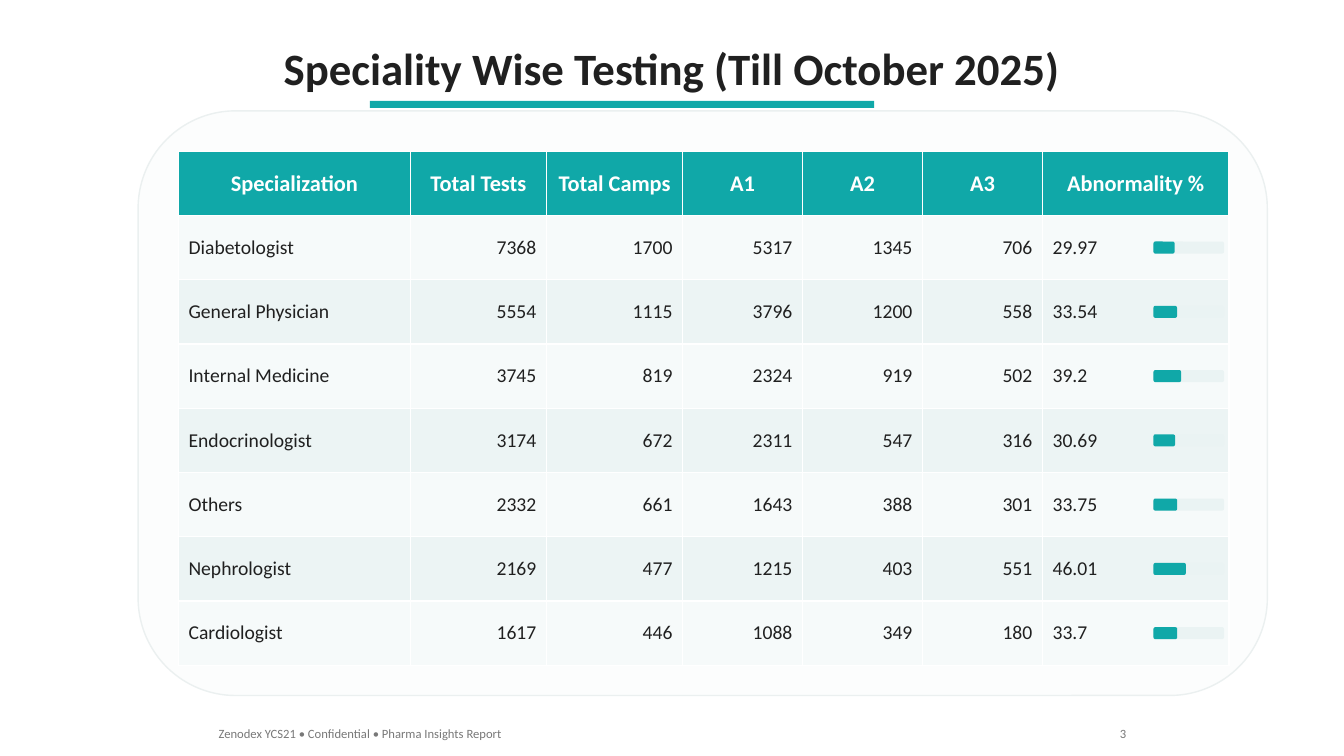
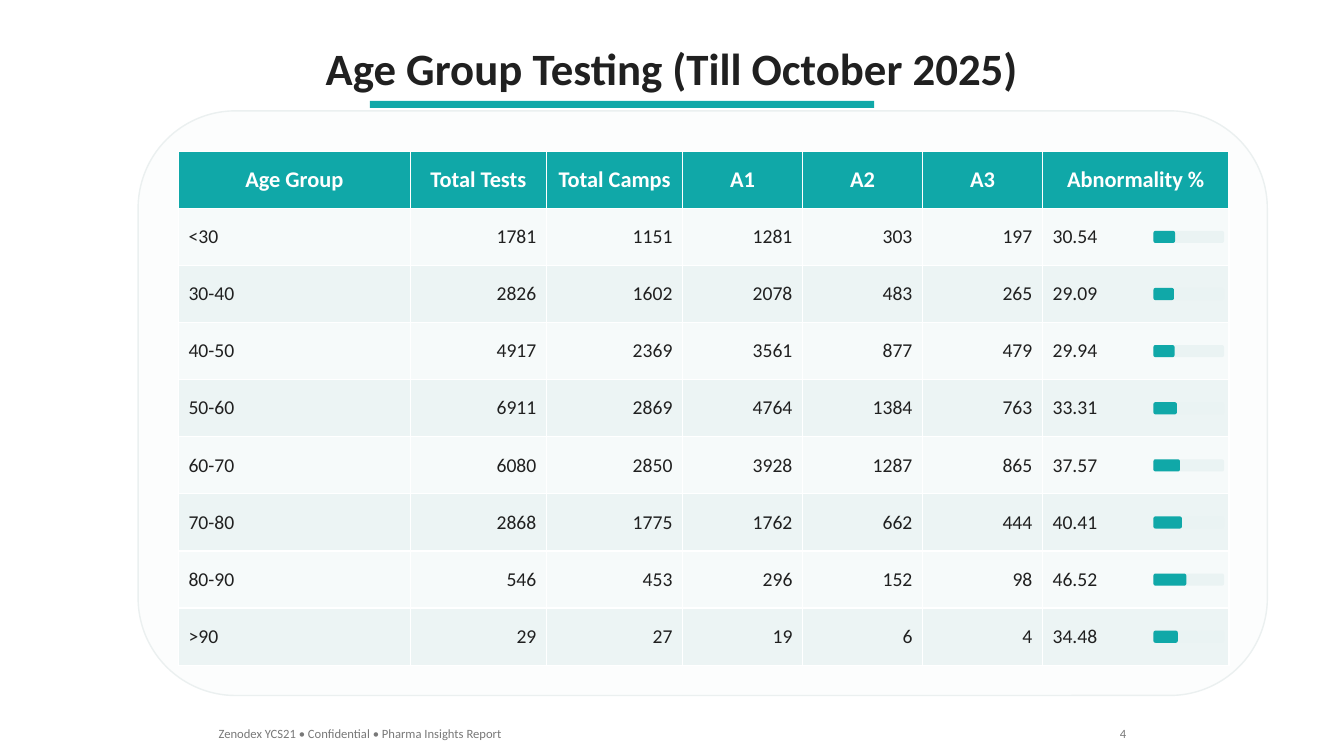
"""Build two slides of test results as tables with abnormality bars."""
from pptx import Presentation
from pptx.dml.color import RGBColor
from pptx.enum.shapes import MSO_SHAPE as Shape
from pptx.enum.text import MSO_ANCHOR as Anchor, MSO_AUTO_SIZE as Auto, PP_ALIGN as Align
from pptx.util import Inches, Pt

HEADS = ["Total Tests", "Total Camps", "A1", "A2", "A3", "Abnormality %"]
SPECIALTIES = [
    ["Diabetologist", 7368, 1700, 5317, 1345, 706, 29.97],
    ["General Physician", 5554, 1115, 3796, 1200, 558, 33.54],
    ["Internal Medicine", 3745, 819, 2324, 919, 502, 39.2],
    ["Endocrinologist", 3174, 672, 2311, 547, 316, 30.69],
    ["Others", 2332, 661, 1643, 388, 301, 33.75],
    ["Nephrologist", 2169, 477, 1215, 403, 551, 46.01],
    ["Cardiologist", 1617, 446, 1088, 349, 180, 33.7],
]
AGES = [
    ["<30", 1781, 1151, 1281, 303, 197, 30.54],
    ["30-40", 2826, 1602, 2078, 483, 265, 29.09],
    ["40-50", 4917, 2369, 3561, 877, 479, 29.94],
    ["50-60", 6911, 2869, 4764, 1384, 763, 33.31],
    ["60-70", 6080, 2850, 3928, 1287, 865, 37.57],
    ["70-80", 2868, 1775, 1762, 662, 444, 40.41],
    ["80-90", 546, 453, 296, 152, 98, 46.52],
    [">90", 29, 27, 19, 6, 4, 34.48],
]


class Deck:
    HUES = {"teal": "10A8A8", "ink": "202020", "grey": "787878", "white": "FFFFFF",
            "panel": "FCFDFD", "edge": "EBF0F0", "track": "EAF3F3",
            "light": "F6FAFA", "dark": "ECF4F4"}
    FONT = "Calibri"
    WIDTH = 13.33
    COLS = [2.3, 1.35, 1.35, 1.19, 1.19, 1.19, 1.85]
    LEFT, TOP, HIGH = 1.77, 1.5, 5.1
    BAR_LEFT, BAR_WIDE, BAR_HIGH = 11.44, 0.7, 0.12

    def __init__(self):
        self.show = Presentation()
        self.show.slide_width = Inches(self.WIDTH)
        self.show.slide_height = Inches(7.5)
        self.slide = None

    def hue(self, name):
        return RGBColor.from_string(self.HUES[name])

    def style(self, frame, size, hue, bold=False, align=Align.LEFT):
        para = frame.paragraphs[0]
        para.alignment = align
        for run in para.runs:
            font = run.font
            font.name, font.size, font.bold = self.FONT, Pt(size), bold
            font.color.rgb = self.hue(hue)

    def text(self, text, left, top, wide, high, size, hue, bold=False, align=Align.LEFT):
        box = self.slide.shapes.add_textbox(*map(Inches, (left, top, wide, high)))
        frame = box.text_frame
        frame.text = text
        frame.word_wrap = False
        frame.auto_size = Auto.SHAPE_TO_FIT_TEXT
        self.style(frame, size, hue, bold, align)

    def shape(self, kind, left, top, wide, high, fill, line=None):
        shape = self.slide.shapes.add_shape(kind, *map(Inches, (left, top, wide, high)))
        shape.shadow.inherit = False
        shape.fill.solid()
        shape.fill.fore_color.rgb = self.hue(fill)
        if line:
            shape.line.color.rgb = self.hue(line)
            shape.line.width = Pt(1)
        else:
            shape.line.fill.background()

    def cell(self, cell, text, fill, size, hue, bold, align):
        cell.fill.solid()
        cell.fill.fore_color.rgb = self.hue(fill)
        cell.vertical_anchor = Anchor.MIDDLE
        cell.text_frame.text = text
        self.style(cell.text_frame, size, hue, bold, align)

    def table(self, label, rows):
        count, last = len(rows) + 1, len(self.COLS) - 1
        table = self.slide.shapes.add_table(
            count, len(self.COLS), Inches(self.LEFT), Inches(self.TOP),
            Inches(sum(self.COLS)), Inches(self.HIGH)).table
        for col, wide in zip(table.columns, self.COLS):
            col.width = Inches(wide)
        for c, head in enumerate([label] + HEADS):
            self.cell(table.cell(0, c), head, "teal", 16, "white", True, Align.CENTER)
        for r, row in enumerate(rows, 1):
            fill = "light" if r % 2 else "dark"
            for c, value in enumerate(row):
                align = Align.LEFT if c in (0, last) else Align.RIGHT
                self.cell(table.cell(r, c), str(value), fill, 14, "ink", False, align)

    def bars(self, rows):
        step = self.HIGH / (len(rows) + 1)
        for r, row in enumerate(rows, 1):
            top = self.TOP + step * (r + 0.5) - self.BAR_HIGH / 2
            for share, hue in ((1, "track"), (row[-1] / 100, "teal")):
                self.shape(Shape.ROUNDED_RECTANGLE, self.BAR_LEFT, top,
                           self.BAR_WIDE * share, self.BAR_HIGH, hue)

    def page(self, number, title, wide, label, rows):
        self.slide = self.show.slides.add_slide(self.show.slide_layouts[6])
        self.text(title, (self.WIDTH - wide) / 2, 0.35, wide, 0.64, 32, "ink", True, Align.CENTER)
        self.shape(Shape.RECTANGLE, 3.67, 1, 5, 0.07, "teal")
        self.shape(Shape.ROUNDED_RECTANGLE, 1.37, 1.1, 11.2, 5.8, "panel", "edge")
        self.table(label, rows)
        self.bars(rows)
        self.text("Zenodex YCS21 • Confidential • Pharma Insights Report",
                  2.07, 7.15, 3.05, 0.25, 9, "grey")
        self.text(str(number), 11, 7.15, 0.27, 0.25, 9, "grey", align=Align.RIGHT)


def main():
    deck = Deck()
    deck.page(3, "Speciality Wise Testing (Till October 2025)", 7.98, "Specialization", SPECIALTIES)
    deck.page(4, "Age Group Testing (Till October 2025)", 7.14, "Age Group", AGES)
    deck.show.save("out.pptx")


if __name__ == "__main__":
    main()
